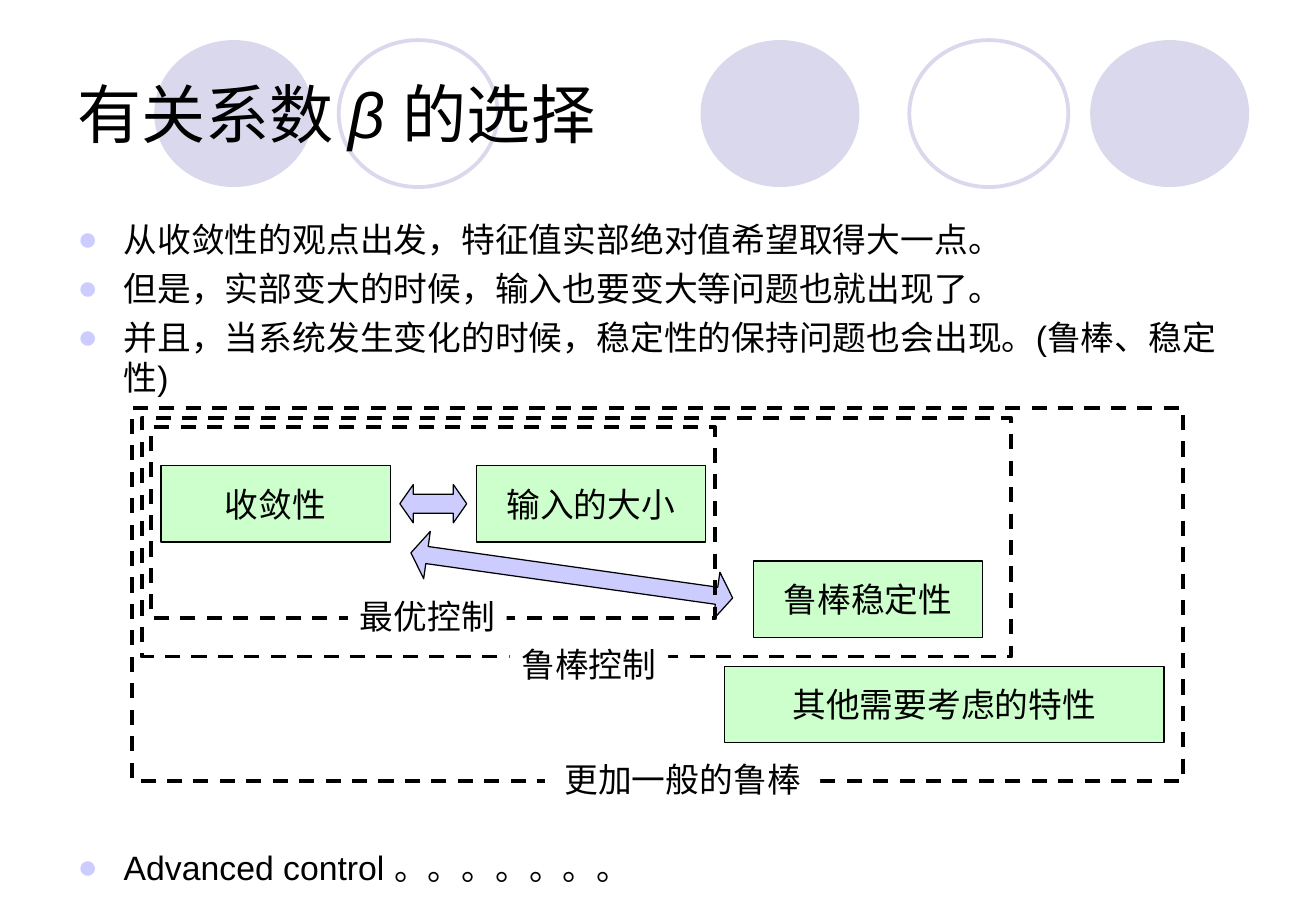
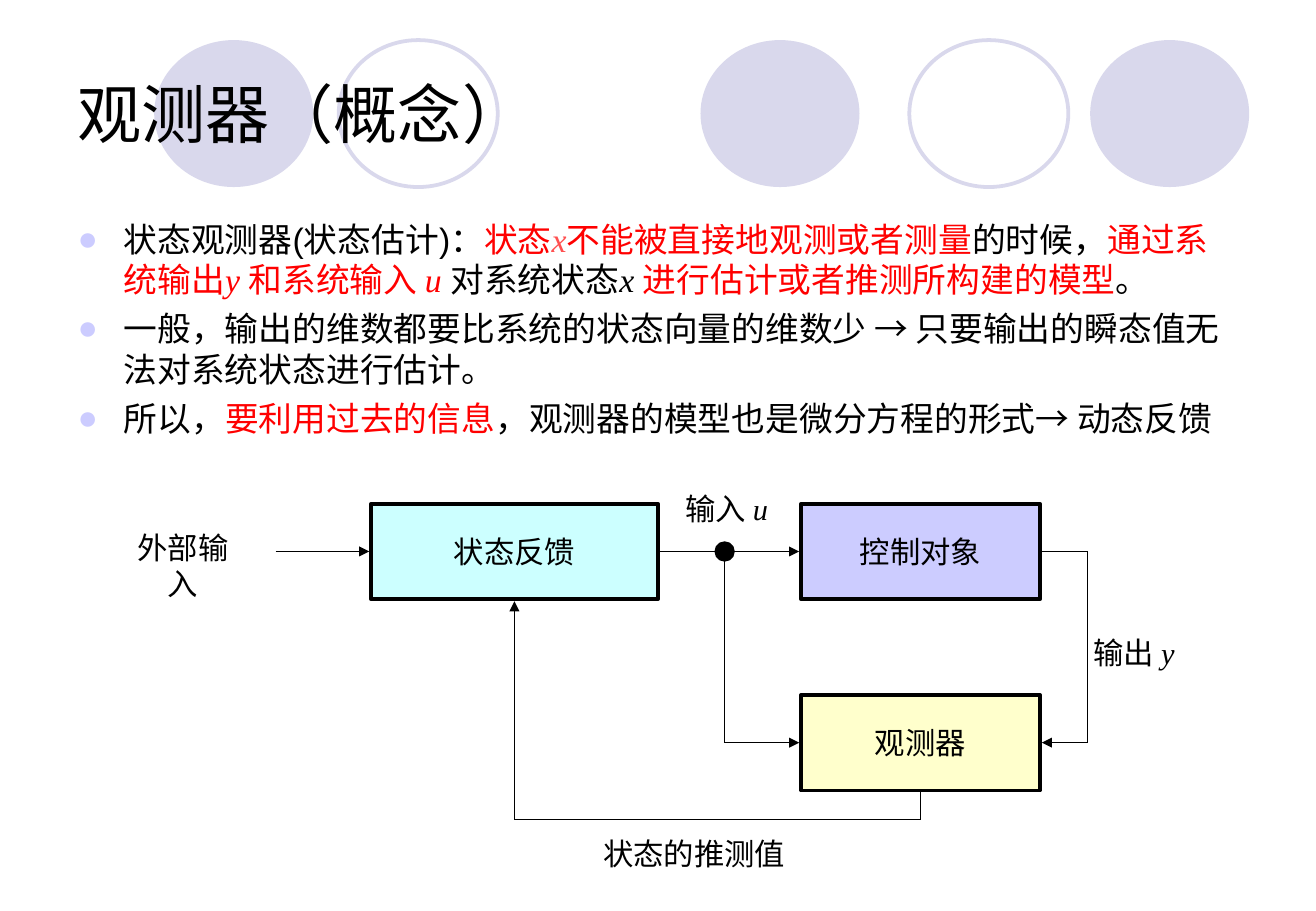
from lxml import etree
from pptx import Presentation
from pptx.dml.color import RGBColor
from pptx.enum.dml import MSO_LINE
from pptx.enum.shapes import MSO_CONNECTOR, MSO_SHAPE
from pptx.enum.text import MSO_ANCHOR, PP_ALIGN
from pptx.oxml.ns import qn
from pptx.util import Inches, Pt

BLACK = RGBColor(0x00, 0x00, 0x00)
WHITE = RGBColor(0xFF, 0xFF, 0xFF)
RED = RGBColor(0xFF, 0x00, 0x00)
CORAL = RGBColor(0xFF, 0x50, 0x50)
LAVENDER = RGBColor(0xD9, 0xD8, 0xEC)
LILAC = RGBColor(0xCC, 0xCC, 0xFF)
GREEN = RGBColor(0xCC, 0xFF, 0xCC)
CYAN = RGBColor(0xCC, 0xFF, 0xFF)
YELLOW = RGBColor(0xFF, 0xFF, 0xCC)
SERIF = "Times New Roman"

prs = Presentation()
prs.slide_width, prs.slide_height = Inches(10.84), Inches(7.5)

# Diagram grid: 2 mm steps from the corner of the outer frame
X0, Y0, STEP = Inches(1.09), Inches(3.36), Inches(0.0787)


def add_box(sl, kind, col, row, cols, rows, fill=None, line=None, weight=0.75):
    """Place a shape on the diagram grid; kind None gives a text box."""
    at = [round(v) for v in (X0 + col * STEP, Y0 + row * STEP, cols * STEP, rows * STEP)]
    if kind is None:
        return sl.shapes.add_textbox(*at)
    sp = sl.shapes.add_shape(kind, *at)
    sp.shadow.inherit = False
    if fill is None:
        sp.fill.background()
    else:
        sp.fill.solid()
        sp.fill.fore_color.rgb = fill
    if line is None:
        sp.line.fill.background()
    else:
        sp.line.color.rgb = line
        sp.line.width = Pt(weight)
    return sp


def write(sp, paragraphs, size=20, font="Arial", align=PP_ALIGN.CENTER,
          anchor=MSO_ANCHOR.MIDDLE, wrap=False, bullet=False):
    """Fill a shape; a paragraph is a string or a list of (text, format) runs."""
    tf = sp.text_frame
    tf.word_wrap, tf.vertical_anchor = wrap, anchor
    for i, runs in enumerate(paragraphs):
        p = tf.paragraphs[0] if i == 0 else tf.add_paragraph()
        p.alignment = align
        if i:
            p.space_before = Pt(5)
        if bullet:
            pPr = p._p.get_or_add_pPr()
            pPr.set("marL", str(Inches(0.38)))
            pPr.set("indent", str(-Inches(0.38)))
            color = etree.SubElement(pPr, qn("a:buClr"))
            etree.SubElement(color, qn("a:srgbClr"), val=str(LILAC))
            etree.SubElement(pPr, qn("a:buFont"), typeface="Arial")
            etree.SubElement(pPr, qn("a:buChar"), char="●")
        for text, fmt in ([(runs, {})] if isinstance(runs, str) else runs):
            r = p.add_run()
            r.text = text
            r.font.size = Pt(size)
            r.font.name = fmt.get("font", font)
            r.font.italic = fmt.get("italic", False)
            r.font.color.rgb = fmt.get("color", BLACK)


# Run formats
ITALIC = {"italic": True}
RED_TEXT = {"color": RED}
SYMBOL = {"font": SERIF, "italic": True}
RED_SYMBOL = {**SYMBOL, "color": RED}
CORAL_SYMBOL = {**SYMBOL, "color": CORAL}

titles = [
    [("有关系数 ", {}), ("β ", ITALIC), ("的选择", {})],
    "观测器（概念）",
]
# Bullet blocks of each slide: top in inches, paragraphs
bodies = [
    [(1.75, ["从收敛性的观点出发，特征值实部绝对值希望取得大一点。",
             "但是，实部变大的时候，输入也要变大等问题也就出现了。",
             "并且，当系统发生变化的时候，稳定性的保持问题也会出现。(鲁棒、稳定性)"]),
     (6.92, ["Advanced control 。。。。。。。"])],
    [(1.75, [
        [("状态观测器(状态估计)：", {}), ("状态", RED_TEXT), ("x", CORAL_SYMBOL),
         ("不能被直接地观测或者测量", RED_TEXT), ("的时候，", {}),
         ("通过系统输出", RED_TEXT), ("y ", RED_SYMBOL), ("和系统输入 ", RED_TEXT),
         ("u ", RED_SYMBOL), ("对系统状态", {}), ("x ", SYMBOL),
         ("进行估计或者推测所构建的模型", RED_TEXT), ("。", {})],
        "一般，输出的维数都要比系统的状态向量的维数少 → 只要输出的瞬态值无法对系统状态进行估计。",
        [("所以，", {}), ("要利用过去的信息", RED_TEXT),
         ("，观测器的模型也是微分方程的形式→ 动态反馈", {})]])],
]

# Shared parts: circle band, title, bullets
slides = []
for title, body in zip(titles, bodies):
    sl = prs.slides.add_slide(prs.slide_layouts[6])
    slides.append(sl)
    for left, filled in [(5.77, True), (8.98, True), (1.27, True), (7.49, False), (2.79, False)]:
        sp = add_box(sl, MSO_SHAPE.OVAL, 0, 0, 1, 1, LAVENDER if filled else None,
                     None if filled else LAVENDER, 2.25)
        sp.left, sp.top = Inches(left), Inches(0.33)
        sp.width, sp.height = Inches(1.31), Inches(1.21)
    sp = sl.shapes.add_textbox(Inches(0.54), Inches(0.3), Inches(9.75), Inches(1.25))
    write(sp, [title], size=38, align=PP_ALIGN.LEFT, wrap=True)
    for top, paragraphs in body:
        height = 0.43 if len(paragraphs) == 1 else 1.6
        sp = sl.shapes.add_textbox(Inches(0.54), Inches(top), Inches(9.75), Inches(height))
        write(sp, paragraphs, align=PP_ALIGN.LEFT, anchor=MSO_ANCHOR.TOP, wrap=True, bullet=True)

choice, observer = slides

# Slide 1: properties
for text, col, row, cols in [("收敛性", 3, 6, 24), ("输入的大小", 36, 6, 24),
                             ("鲁棒稳定性", 65, 16, 24), ("其他需要考虑的特性", 62, 27, 46)]:
    write(add_box(choice, MSO_SHAPE.RECTANGLE, col, row, cols, 8, GREEN, BLACK), [text])

# Slide 1: trade-off arrows
for col, row, cols, rows, angle, adjust in [(28, 8, 7, 4, 0, (0.5, 0.35)),
                                            (29, 15, 34, 5, 8, (0.36, 0.34))]:
    sp = add_box(choice, MSO_SHAPE.LEFT_RIGHT_ARROW, col, row, cols, rows, LILAC, BLACK)
    sp.rotation = angle
    sp.adjustments[0], sp.adjustments[1] = adjust

# Slide 1: nested dashed frames, each with a label on its lower edge
for inset, cols, rows, text, col, row, width in [
        (2, 59, 20, "最优控制", 22.6, 19, 16.6),
        (1, 91, 25, "鲁棒控制", 39.5, 24, 16.6),
        (0, 110, 39, "更加一般的鲁棒", 43.2, 36, 28.8)]:
    sp = add_box(choice, MSO_SHAPE.RECTANGLE, inset, inset, cols, rows, None, BLACK, 2.25)
    sp.line.dash_style = MSO_LINE.DASH
    sp = add_box(choice, MSO_SHAPE.RECTANGLE, col, row, width, 5.6, WHITE)
    write(sp, [text], anchor=MSO_ANCHOR.TOP)

# Slide 2: blocks
for text, col, row, cols, fill in [("控制对象", 70, 10, 25, LILAC), ("观测器", 70, 30, 25, YELLOW),
                                   ("状态反馈", 25, 10, 30, CYAN)]:
    sp = add_box(observer, MSO_SHAPE.RECTANGLE, col, row, cols, 10, fill, BLACK, 2.25)
    write(sp, [text], size=18)

# Slide 2: branch point and signal paths, given by their corners
add_box(observer, MSO_SHAPE.OVAL, 61, 14, 2, 2, BLACK, BLACK)
for corners, arrow in [([(15, 15), (24.8, 15)], True),
                       ([(55.2, 15), (61, 15)], False),
                       ([(63, 15), (69.8, 15)], True),
                       ([(62, 16), (62, 35), (69.8, 35)], True),
                       ([(95.2, 15), (100, 15), (100, 35), (95.2, 35)], True),
                       ([(82.5, 40.2), (82.5, 43), (40, 43), (40, 20.2)], True)]:
    points = [(round(X0 + col * STEP), round(Y0 + row * STEP)) for col, row in corners]
    for start, end in zip(points, points[1:]):
        cn = observer.shapes.add_connector(MSO_CONNECTOR.STRAIGHT, *start, *end)
        cn.line.color.rgb = BLACK
        cn.line.width = Pt(0.75)
        if arrow and end == points[-1]:
            etree.SubElement(cn.line._get_or_add_ln(), qn("a:tailEnd"), type="triangle")
        etree.SubElement(cn._element.spPr, qn("a:effectLst"))

# Slide 2: signal names
for text, col, row, cols, font in [
        ("外部输入", -2.3, 12, 15.2, "Arial"),
        ([("输出 ", {}), ("y", SYMBOL)], 99, 23, 11.7, SERIF),
        ("状态的推测值", 48, 44, 21.6, "Arial"),
        ([("输入 ", {}), ("u", SYMBOL)], 56.2, 8, 12, SERIF)]:
    sp = add_box(observer, None, col, row, cols, 5.1)
    write(sp, [text], size=18, font=font, anchor=MSO_ANCHOR.TOP)

prs.save("out.pptx")
